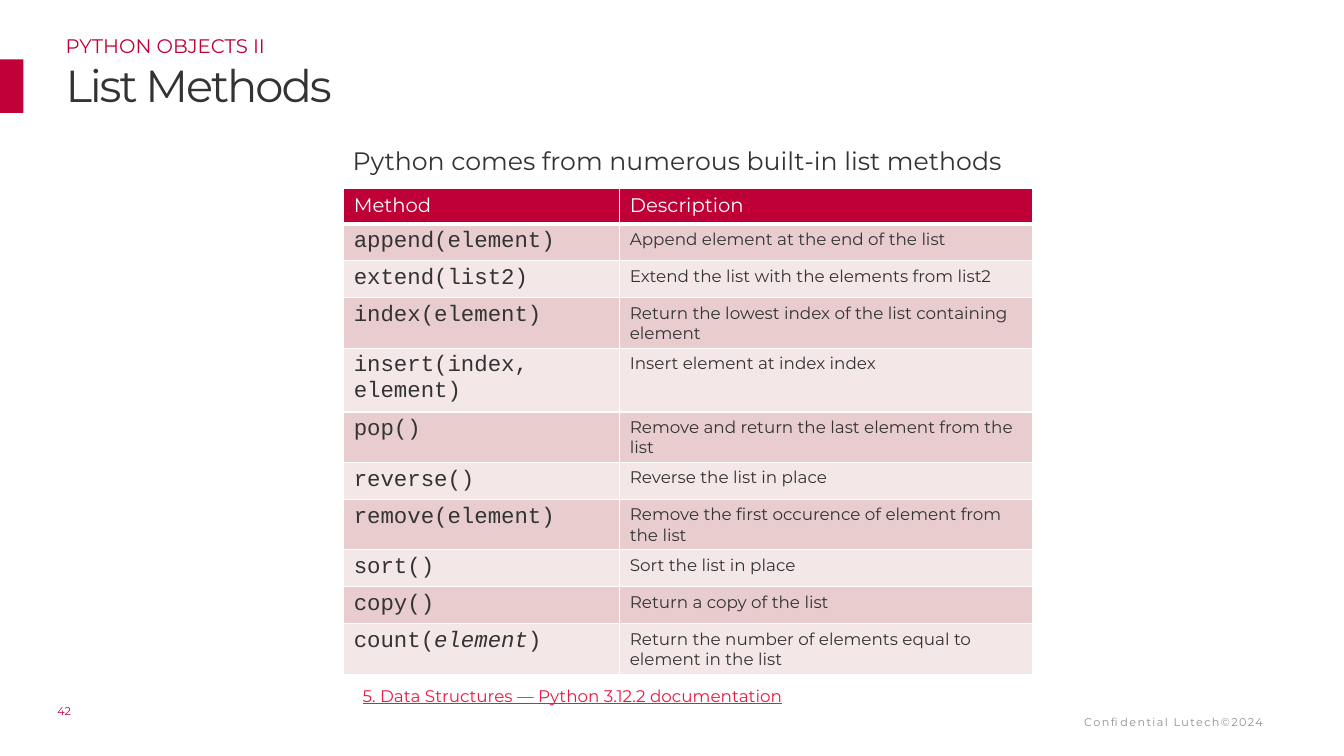
from dataclasses import dataclass

from lxml.etree import SubElement
from pptx import Presentation
from pptx.dml.color import RGBColor as RGB
from pptx.enum.shapes import MSO_SHAPE as SHAPE
from pptx.enum.text import MSO_ANCHOR as ANCHOR, PP_ALIGN as ALIGN
from pptx.oxml.ns import qn
from pptx.util import Pt

COLORS = {
    "crimson": "C00036",
    "header": "BE0036",
    "link": "E81A44",
    "ink": "333333",
    "gray": "909090",
    "white": "FFFFFF",
    "band_dark": "E8CCCE",
    "band_light": "F4E7E8",
}
SANS, MONO = "Montserrat", "Courier New"


@dataclass(frozen=True)
class Style:
    size: float
    color: str
    font: str = SANS
    tracking: float = 0
    underline: bool = False
    italic: bool = False


@dataclass(frozen=True)
class Label:
    text: str
    left: float
    top: float
    width: float
    height: float
    style: Style
    align: ALIGN = ALIGN.LEFT
    anchor: ANCHOR = ANCHOR.TOP
    line_spacing: float = 1.0
    padded: bool = False


@dataclass(frozen=True)
class Method:
    signature: tuple[str, ...]
    description: str
    height: float


CODE = Style(16, "ink", MONO)
CODE_ITALIC = Style(16, "ink", MONO, italic=True)
DESCRIPTION = Style(12, "ink")
HEADING = Style(14, "white")

ONE_LINE, TWO_LINES = 25.2, 35.4
COLUMN_WIDTHS = (197.2, 294.8)

LABELS = [
    Label("Confidential Lutech©2024", 763.2, 507.6, 146.2, 16.6, Style(8, "gray", tracking=1),
          align=ALIGN.RIGHT, anchor=ANCHOR.MIDDLE, padded=True),
    Label("42", 41, 503.3, 19.4, 9.4, Style(8, "header")),
    Label("List Methods", 46.8, 41, 872.6, 38.2, Style(32, "ink", tracking=-1.5)),
    Label("PYTHON OBJECTS II", 46.8, 15.8, 872.6, 23, Style(14, "crimson"), line_spacing=1.5),
    Label("Python comes from numerous built-in list methods", 48.2, 92.9, 871.2, 374.4,
          Style(18, "ink"), align=ALIGN.CENTER, line_spacing=1.5),
    Label("5. Data Structures — Python 3.12.2 documentation", 252, 486, 480.2, 21.6,
          Style(12, "link", underline=True), padded=True),
]

METHODS = [
    Method(("append(element)",), "Append element at the end of the list", ONE_LINE),
    Method(("extend(list2)",), "Extend the list with the elements from list2", ONE_LINE),
    Method(("index(element)",), "Return the lowest index of the list containing element", TWO_LINES),
    Method(("insert(index, element)",), "Insert element at index index", ONE_LINE),
    Method(("pop()",), "Remove and return the last element from the list", TWO_LINES),
    Method(("reverse()",), "Reverse the list in place", ONE_LINE),
    Method(("remove(element)",), "Remove the first occurence of element from the list", TWO_LINES),
    Method(("sort()",), "Sort the list in place", ONE_LINE),
    Method(("copy()",), "Return a copy of the list", ONE_LINE),
    Method(("count(", "element", ")"), "Return the number of elements equal to element in the list", TWO_LINES),
]


def rgb(name: str) -> RGB:
    return RGB.from_string(COLORS[name])


def add_run(p, text: str, style: Style) -> None:
    r = p.add_run()
    r.text = text
    r.font.name = style.font
    r.font.size = Pt(style.size)
    r.font.color.rgb = rgb(style.color)
    if style.underline:
        r.font.underline = True
    if style.italic:
        r.font.italic = True
    if style.tracking:
        r._r.get_or_add_rPr().set("spc", str(int(style.tracking * 100)))


def add_label(s, label: Label) -> None:
    sp = s.shapes.add_textbox(Pt(label.left), Pt(label.top), Pt(label.width), Pt(label.height))
    tf = sp.text_frame
    tf.word_wrap = True
    tf.vertical_anchor = label.anchor
    if not label.padded:
        tf.margin_left = tf.margin_top = tf.margin_right = tf.margin_bottom = 0
    p = tf.paragraphs[0]
    p.alignment = label.align
    p.line_spacing = label.line_spacing
    add_run(p, label.text, label.style)


def add_accent(s) -> None:
    sp = s.shapes.add_shape(SHAPE.RECTANGLE, 0, Pt(42.5), Pt(16.8), Pt(38.2))
    sp.shadow.inherit = False
    sp.fill.solid()
    sp.fill.fore_color.rgb = rgb("crimson")
    sp.line.fill.background()


def style_cell(cell, fill: str, bottom: float = 1) -> None:
    tc_pr = cell._tc.get_or_add_tcPr()
    for side, width in (("L", 1), ("R", 1), ("T", 1), ("B", bottom)):
        ln = SubElement(tc_pr, qn(f"a:ln{side}"), w=str(Pt(width)))
        SubElement(SubElement(ln, qn("a:solidFill")), qn("a:srgbClr"), val=COLORS["white"])
    cell.fill.solid()
    cell.fill.fore_color.rgb = rgb(fill)


def add_methods_table(s) -> None:
    heights = [ONE_LINE] + [m.height for m in METHODS]
    frame = s.shapes.add_table(len(heights), len(COLUMN_WIDTHS), Pt(245.5), Pt(134.6),
                               Pt(sum(COLUMN_WIDTHS)), Pt(sum(heights)))
    table = frame.table
    table.first_row = table.horz_banding = False
    for column, width in zip(table.columns, COLUMN_WIDTHS):
        column.width = Pt(width)
    for row, height in zip(table.rows, heights):
        row.height = Pt(height)

    for cell, heading in zip(table.rows[0].cells, ("Method", "Description")):
        style_cell(cell, "header", bottom=3)
        add_run(cell.text_frame.paragraphs[0], heading, HEADING)

    for i, method in enumerate(METHODS, start=1):
        code, description = table.rows[i].cells
        for cell in (code, description):
            style_cell(cell, "band_dark" if i % 2 else "band_light")
        for j, piece in enumerate(method.signature):
            add_run(code.text_frame.paragraphs[0], piece, CODE_ITALIC if j % 2 else CODE)
        add_run(description.text_frame.paragraphs[0], method.description, DESCRIPTION)


def main() -> None:
    prs = Presentation()
    prs.slide_width, prs.slide_height = Pt(960), Pt(540)
    s = prs.slides.add_slide(prs.slide_layouts[6])
    add_accent(s)
    for label in LABELS:
        add_label(s, label)
    add_methods_table(s)
    prs.save("out.pptx")


if __name__ == "__main__":
    main()
